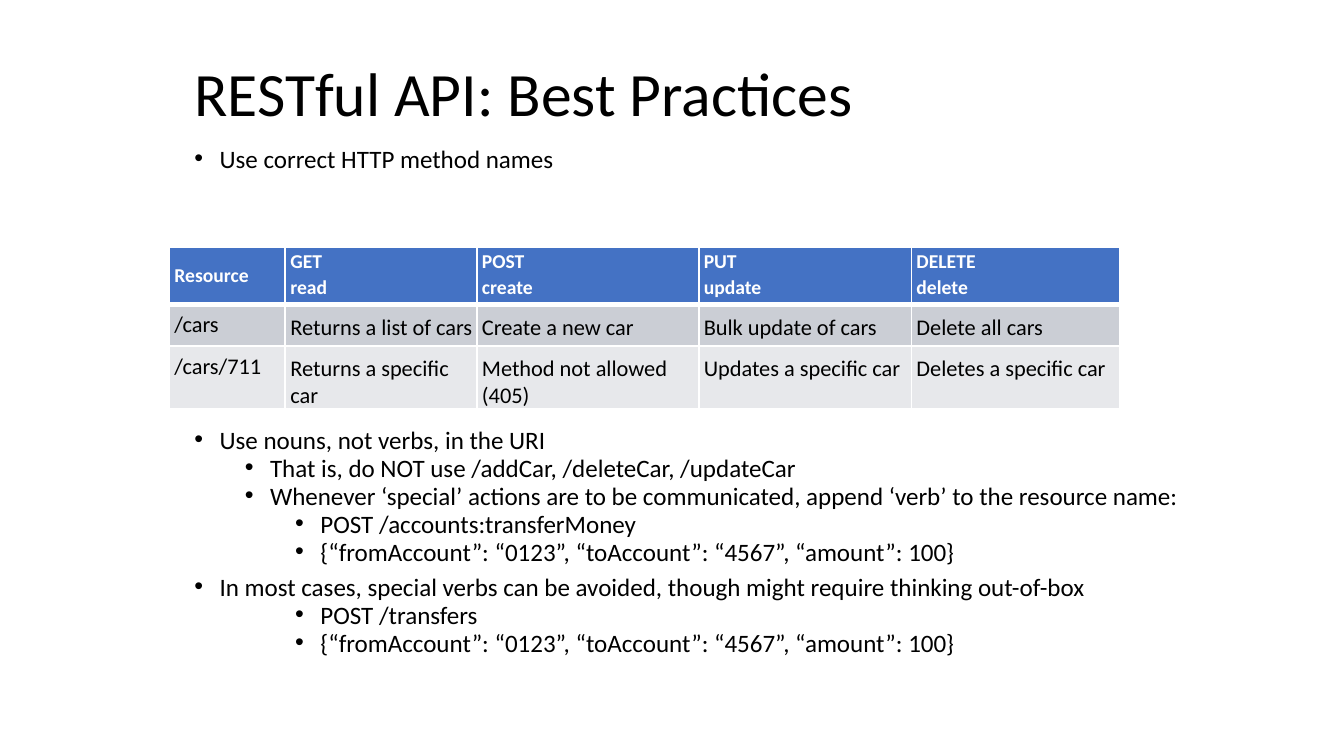
from dataclasses import dataclass

from lxml.etree import SubElement
from pptx import Presentation
from pptx.dml.color import RGBColor
from pptx.enum.text import MSO_ANCHOR
from pptx.oxml.ns import qn
from pptx.util import Inches, Pt


@dataclass(frozen=True)
class Theme:
    """Colours, font and type sizes of the slide."""
    font: str = "Calibri"
    text: str = "000000"
    white: str = "FFFFFF"
    header: str = "4472C4"
    bands: tuple = ("CBCED5", "E7E8EB")
    title_size: float = 44
    body_size: float = 17.9
    header_size: float = 14
    cell_size: float = 16
    thin: float = 1.5
    thick: float = 4.25


THEME = Theme()
COLUMNS = (1.15, 1.9, 2.2, 2.11, 2.07)
ROWS = (0.57, 0.41, 0.62)
METHODS = (
    ("Resource", "GET\nread", "POST\ncreate", "PUT\nupdate", "DELETE\ndelete"),
    ("/cars", "Returns a list of cars", "Create a new car",
     "Bulk update of cars", "Delete all cars"),
    ("/cars/711", "Returns a specific car", "Method not allowed (405)",
     "Updates a specific car", "Deletes a specific car"),
)
TRANSFER = "{“fromAccount”: “0123”, “toAccount”: “4567”, “amount”: 100}"
METHOD_ADVICE = ((0, "Use correct HTTP method names"),)
NAMING_ADVICE = (
    (0, "Use nouns, not verbs, in the URI"),
    (1, "That is, do NOT use /addCar, /deleteCar, /updateCar"),
    (1, "Whenever ‘special’ actions are to be communicated, "
        "append ‘verb’ to the resource name:"),
    (2, "POST /accounts:transferMoney"),
    (2, TRANSFER),
    (0, "In most cases, special verbs can be avoided, "
        "though might require thinking out-of-box"),
    (2, "POST /transfers"),
    (2, TRANSFER),
)


def write(p, text, size, color=THEME.text, bold=False, spacing=1.0, before=0):
    """Write one formatted run into a paragraph."""
    p.line_spacing = spacing
    p.space_before = Pt(before)
    r = p.add_run()
    r.text = text
    r.font.name = THEME.font
    r.font.size = Pt(size)
    r.font.bold = bold
    r.font.color.rgb = RGBColor.from_string(color)


def add_box(s, top, height, anchor=MSO_ANCHOR.TOP):
    """Add a wrapping text box in the main column and return its frame."""
    box = s.shapes.add_textbox(Inches(1.83), Inches(top), Inches(11.5), Inches(height))
    tf = box.text_frame
    tf.word_wrap = True
    tf.vertical_anchor = anchor
    return tf


def add_bullets(s, top, height, items):
    """Add a list of (level, text) bullets."""
    tf = add_box(s, top, height)
    for i, (level, text) in enumerate(items):
        p = tf.add_paragraph() if i else tf.paragraphs[0]
        p.level = level
        write(p, text, THEME.body_size, spacing=0.7, before=5 if level else 10)
        pPr = p._p.get_or_add_pPr()
        pPr.set("marL", str(Inches(0.25 + 0.5 * level)))
        pPr.set("indent", str(Inches(-0.25)))
        SubElement(pPr, qn("a:buFont"), typeface="Arial")
        SubElement(pPr, qn("a:buChar"), char="•")


def set_borders(cell, top, bottom):
    """Draw white borders around a cell."""
    tcPr = cell._tc.get_or_add_tcPr()
    widths = {"L": THEME.thin, "R": THEME.thin, "T": top, "B": bottom}
    for i, (side, width) in enumerate(widths.items()):
        ln = SubElement(tcPr, qn(f"a:ln{side}"), w=str(Pt(width)))
        fill = SubElement(ln, qn("a:solidFill"))
        SubElement(fill, qn("a:srgbClr"), val=THEME.white)
        tcPr.insert(i, ln)


def fill_cell(cell, text, row, col):
    """Fill, border and letter one table cell."""
    header = row == 0
    cell.fill.solid()
    cell.fill.fore_color.rgb = RGBColor.from_string(
        THEME.header if header else THEME.bands[row - 1])
    set_borders(cell, THEME.thick if row == 1 else THEME.thin,
                THEME.thick if header else THEME.thin)
    cell.margin_left = Inches(0.05)
    cell.margin_right = cell.margin_bottom = 0
    first_inset, other_inset = ((0.17, 0.03), (0.07, 0.1), (0.07, 0.09))[row]
    cell.margin_top = Inches(other_inset if col else first_inset)
    tf = cell.text_frame
    for i, line in enumerate(text.split("\n")):
        p = tf.add_paragraph() if i else tf.paragraphs[0]
        write(p, line, THEME.header_size if header else THEME.cell_size,
              color=THEME.white if header else THEME.text,
              bold=header, before=1.2 if i else 0)


def add_method_table(s):
    """Add the table of HTTP methods by resource."""
    table = s.shapes.add_table(
        len(ROWS), len(COLUMNS), Inches(1.68), Inches(2.45),
        Inches(sum(COLUMNS)), Inches(sum(ROWS))).table
    for col, width in enumerate(COLUMNS):
        table.columns[col].width = Inches(width)
    for row, texts in enumerate(METHODS):
        table.rows[row].height = Inches(ROWS[row])
        for col, text in enumerate(texts):
            fill_cell(table.cell(row, col), text, row, col)


def main():
    """Build and save the slide."""
    prs = Presentation()
    prs.slide_width, prs.slide_height = Inches(13.33), Inches(7.5)
    s = prs.slides.add_slide(prs.slide_layouts[6])
    title = add_box(s, 0.46, 1, anchor=MSO_ANCHOR.MIDDLE)
    write(title.paragraphs[0], "RESTful API: Best Practices",
          THEME.title_size, spacing=0.9)
    add_bullets(s, 1.46, 0.5, METHOD_ADVICE)
    add_method_table(s)
    add_bullets(s, 4.24, 2.6, NAMING_ADVICE)
    prs.save("out.pptx")


if __name__ == "__main__":
    main()
